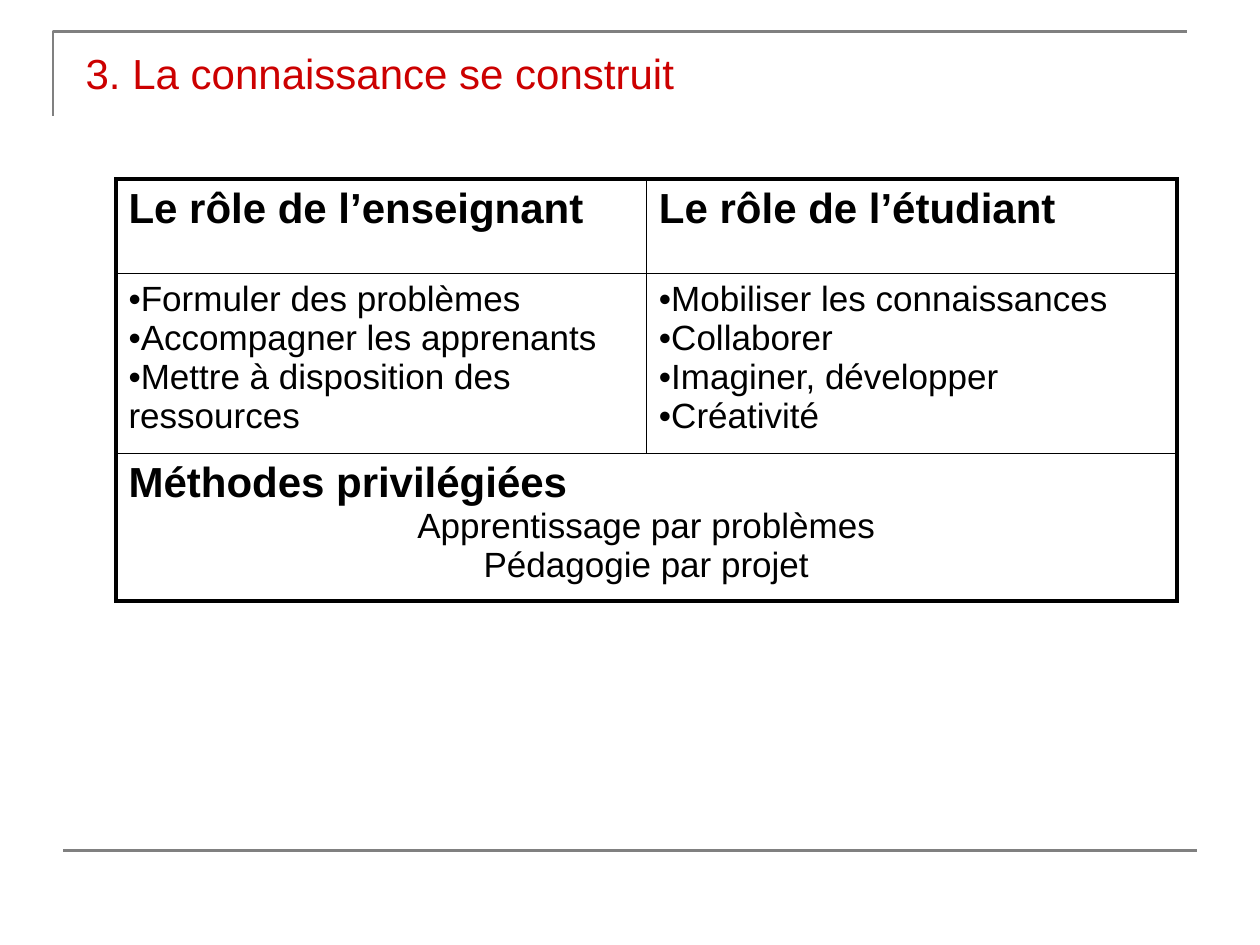
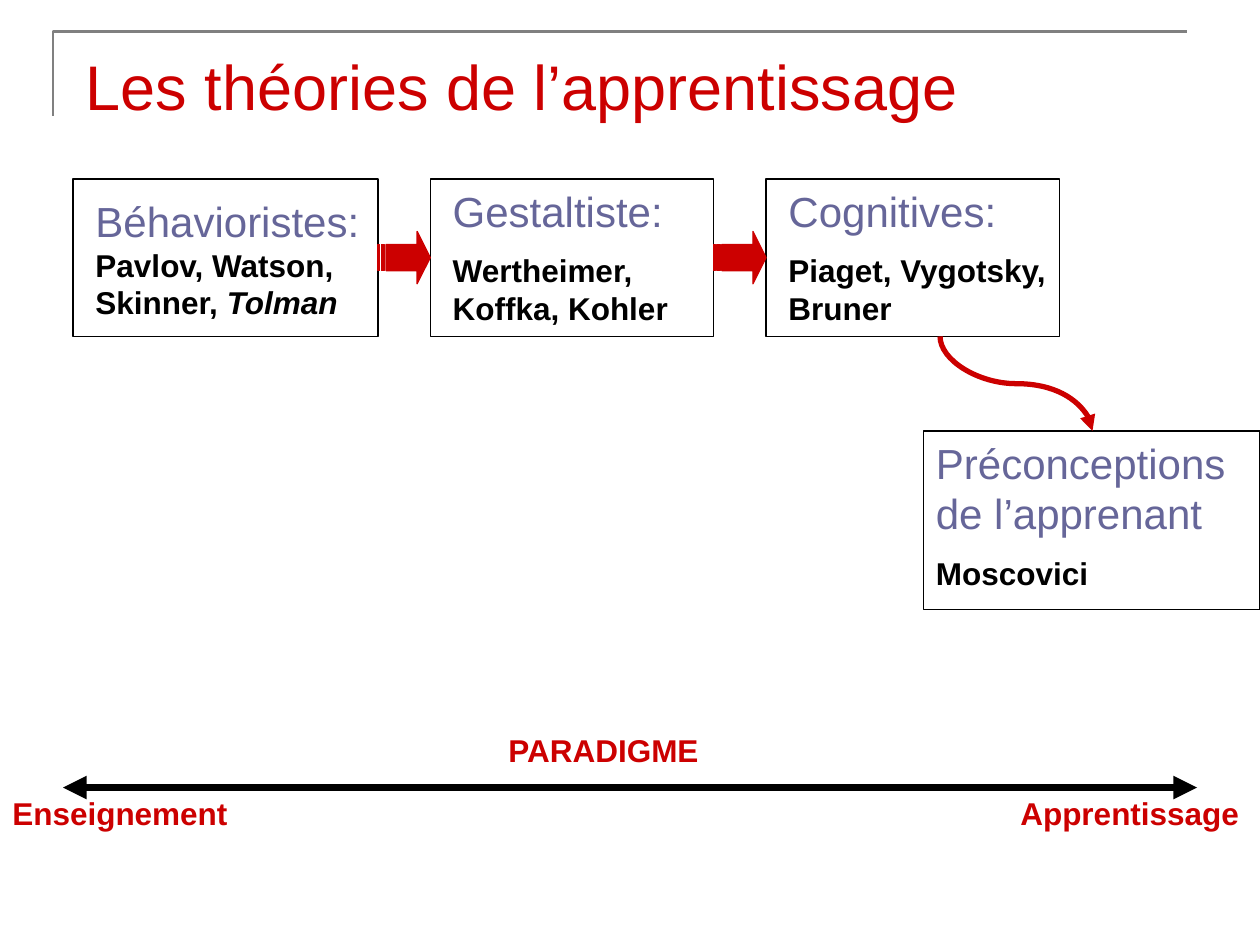
from itertools import pairwise

from lxml import etree
from pptx import Presentation
from pptx.dml.color import RGBColor
from pptx.enum import shapes, text
from pptx.oxml.ns import qn
from pptx.util import Inches, Pt

RED = RGBColor(0xCC, 0x00, 0x00)
VIOLET = RGBColor(0x66, 0x66, 0x99)
BLACK = RGBColor(0, 0, 0)
GREY = RGBColor(0x80, 0x80, 0x80)
WHITE = RGBColor(0xFF, 0xFF, 0xFF)
FONT = "Arial"

HEADING = {"size": Pt(24), "bold": False, "color": VIOLET}
AUTHORS = {"size": Pt(18), "bold": True, "color": BLACK}
WORK = AUTHORS | {"italic": True}
LABEL = AUTHORS | {"color": RED}
ROLE = {"size": Pt(24), "bold": True, "color": BLACK}
ITEM = {"size": Pt(20), "bold": False, "color": BLACK}

ROLES_TITLE = "3. La connaissance se construit"
ROLES = [
    ("Le rôle de l’enseignant", [
        "Formuler des problèmes",
        "Accompagner les apprenants",
        "Mettre à disposition des ressources"]),
    ("Le rôle de l’étudiant", [
        "Mobiliser les connaissances",
        "Collaborer",
        "Imaginer, développer",
        "Créativité"]),
]
METHODS = ("Méthodes privilégiées",
           ["Apprentissage par problèmes", "Pédagogie par projet"])
ROW_HEIGHTS = [0.75, 1.43, 1.17]

THEORIES_TITLE = "Les théories de l’apprentissage"
# frame width, text drop, space before authors, heading, authors
THEORIES = [
    (2.42, 0.08, 0, "Béhavioristes:",
     [("Pavlov, Watson, Skinner, ", AUTHORS), ("Tolman", WORK)]),
    (2.25, 0, 9, "Gestaltiste:", [("Wertheimer, Koffka, Kohler", AUTHORS)]),
    (2.33, 0, 9, "Cognitives:", [("Piaget, Vygotsky, Bruner", AUTHORS)]),
]
PRECONCEPTIONS = ("Préconceptions de l’apprenant", [("Moscovici", AUTHORS)])
THEORY_LEFT, THEORY_TOP, THEORY_HEIGHT, GAP = 0.58, 1.42, 1.25, 0.415
AXIS_LABELS = [
    ("Enseignement", 0, 6.25, 2, text.PP_ALIGN.LEFT),
    ("Apprentissage", 8, 6.25, 2, text.PP_ALIGN.LEFT),
    ("PARADIGME", 2.5, 5.75, 4.58, text.PP_ALIGN.CENTER),
]


def inches(*lengths):
    return [Inches(length) for length in lengths]


def write(paragraph, runs):
    for words, style in runs:
        run = paragraph.add_run()
        run.text = words
        run.font.name = FONT
        for key, value in style.items():
            if key == "color":
                run.font.color.rgb = value
            else:
                setattr(run.font, key, value)


def fill_frame(frame, paragraphs, space=0, align=text.PP_ALIGN.LEFT):
    """Write lists of runs as paragraphs, with space in points between them."""
    for index, runs in enumerate(paragraphs):
        paragraph = frame.add_paragraph() if index else frame.paragraphs[0]
        paragraph.alignment = align
        if index:
            paragraph.space_before = Pt(space)
        write(paragraph, runs)


def add_text(slide, box, paragraphs, **layout):
    frame = slide.shapes.add_textbox(*inches(*box)).text_frame
    frame.word_wrap = True
    fill_frame(frame, paragraphs, **layout)


def add_preset(slide, preset, box, fill=None, line=None):
    shape = slide.shapes.add_shape(preset, *inches(*box))
    shape.shadow.inherit = False
    for part, color in ((shape.fill, fill), (shape.line.fill, line)):
        if color is None:
            part.background()
        else:
            part.solid()
            part.fore_color.rgb = color
    if line is not None:
        shape.line.width = Pt(0.75)
    return shape


def add_line(slide, kind, ends, color, width, arrows=()):
    line = slide.shapes.add_connector(kind, *inches(*ends))
    line.line.color.rgb = color
    line.line.width = Pt(width)
    properties = line._element.spPr
    for end in arrows:
        etree.SubElement(properties.find(qn("a:ln")), qn(f"a:{end}"), type="triangle")
    etree.SubElement(properties, qn("a:effectLst"))
    return line


def decorate_layout(slide, layout):
    """Draw the grey title corner and footer rule, then move them to the layout."""
    outline = slide.shapes.build_freeform(*inches(0.42, 0.92))
    outline.add_line_segments([inches(0.42, 0.25), inches(9.42, 0.25)], close=False)
    corner = outline.convert_to_shape()
    corner.shadow.inherit = False
    corner.fill.background()
    corner.line.color.rgb = GREY
    corner.line.width = Pt(1.5)
    rule = add_line(slide, shapes.MSO_CONNECTOR.STRAIGHT, (0.5, 6.75, 9.5, 6.75), GREY, 1.5)
    for part in (corner, rule):
        layout.shapes.element.append(part.element)


def set_title(slide, words, size, height):
    title = slide.shapes.title
    title.left, title.top, title.width, title.height = inches(0.58, 0.33, 8.58, height)
    frame = title.text_frame
    frame.auto_size = text.MSO_AUTO_SIZE.NONE
    frame.vertical_anchor = text.MSO_ANCHOR.TOP
    fill_frame(frame, [[(words, {"size": Pt(size), "color": RED})]])


def set_borders(cell, widths):
    properties = cell._tc.get_or_add_tcPr()
    for index, (side, width) in enumerate(zip("LRTB", widths)):
        border = etree.Element(qn(f"a:ln{side}"), w=str(Pt(width)))
        solid = etree.SubElement(border, qn("a:solidFill"))
        etree.SubElement(solid, qn("a:srgbClr"), val=str(BLACK))
        properties.insert(index, border)


def add_bullet(paragraph):
    properties = paragraph._p.get_or_add_pPr()
    etree.SubElement(properties, qn("a:buFont"), typeface=FONT)
    etree.SubElement(properties, qn("a:buChar"), char="•")


def build_roles(slide):
    set_title(slide, ROLES_TITLE, 24, 0.5)

    rows, cols = len(ROW_HEIGHTS), len(ROLES)
    table = slide.shapes.add_table(
        rows, cols, *inches(0.92, 1.42, 8.42, sum(ROW_HEIGHTS))).table
    table.first_row = table.horz_banding = False
    for row, height in zip(table.rows, ROW_HEIGHTS):
        row.height = Inches(height)

    for col, (role, duties) in enumerate(ROLES):
        fill_frame(table.cell(0, col).text_frame, [[(role, ROLE)]])
        duty_frame = table.cell(1, col).text_frame
        fill_frame(duty_frame, [[(duty, ITEM)] for duty in duties])
        for paragraph in duty_frame.paragraphs:
            add_bullet(paragraph)

    methods = table.cell(rows - 1, 0)
    methods.merge(table.cell(rows - 1, cols - 1))
    heading, examples = METHODS
    fill_frame(methods.text_frame,
               [[(heading, ROLE)]] + [[(example, ITEM)] for example in examples])
    for paragraph in methods.text_frame.paragraphs[1:]:
        paragraph.alignment = text.PP_ALIGN.CENTER

    for row in range(rows):
        for col in range(cols):
            cell = table.cell(row, col)
            cell.fill.background()
            last_col = col + cell.span_width - 1 if cell.is_merge_origin else col
            outer = (col == 0, last_col == cols - 1, row == 0, row == rows - 1)
            set_borders(cell, [2.25 if edge else 1 for edge in outer])


def build_theories(slide):
    set_title(slide, THEORIES_TITLE, 36, 0.7)
    rectangle = shapes.MSO_SHAPE.RECTANGLE

    left, spans = THEORY_LEFT, []
    for width, drop, space, heading, authors in THEORIES:
        add_preset(slide, rectangle, (left, THEORY_TOP, width, THEORY_HEIGHT), line=BLACK)
        add_text(slide, (left + 0.08, THEORY_TOP + drop, 2.5, THEORY_HEIGHT - drop),
                 [[(heading, HEADING)], authors], space=space)
        spans.append((left, left + width))
        left += width + GAP

    for (_, start), (end, _) in pairwise(spans):
        arrow = add_preset(
            slide, shapes.MSO_SHAPE.STRIPED_RIGHT_ARROW,
            (start, THEORY_TOP + (THEORY_HEIGHT - GAP) / 2, end - start, GAP), RED, RED)
        arrow.adjustments[0], arrow.adjustments[1] = 0.5, 0.25

    heading, authors = PRECONCEPTIONS
    box = (7.33, 3.42, 2.67, 1.42)
    add_preset(slide, rectangle, box, line=BLACK)
    add_text(slide, box, [[(heading, HEADING)], authors], space=9)

    # The curve leaves downwards: a mirrored S turned by 270 degrees
    x1, y1, x2, y2 = 7.46, THEORY_TOP + THEORY_HEIGHT, 8.67, 3.42
    mid_x, mid_y = (x1 + x2) / 2, (y1 + y2) / 2
    half_w, half_h = (y2 - y1) / 2, (x2 - x1) / 2
    curve = add_line(slide, shapes.MSO_CONNECTOR.CURVE,
                     (mid_x - half_w, mid_y - half_h, mid_x + half_w, mid_y + half_h),
                     RED, 3, ["tailEnd"])
    turn = curve._element.spPr.find(qn("a:xfrm"))
    turn.set("rot", str(270 * 60000))
    turn.set("flipH", "1")

    add_line(slide, shapes.MSO_CONNECTOR.STRAIGHT, (0.5, 6.25, 9.5, 6.25),
             BLACK, 4.5, ["headEnd", "tailEnd"])
    for words, x, y, width, align in AXIS_LABELS:
        add_text(slide, (x, y, width, 0.4), [[(words, LABEL)]], align=align)

    # White band over the footer rule, which this slide does without
    add_preset(slide, rectangle, (0.42, 6.67, 9.25, 0.42), fill=WHITE)


def main():
    deck = Presentation()
    deck.slide_width, deck.slide_height = inches(10, 7.5)
    layout = deck.slide_layouts[5]
    roles, theories = (deck.slides.add_slide(layout) for _ in range(2))
    decorate_layout(roles, layout)
    build_roles(roles)
    build_theories(theories)
    deck.save("out.pptx")


if __name__ == "__main__":
    main()
